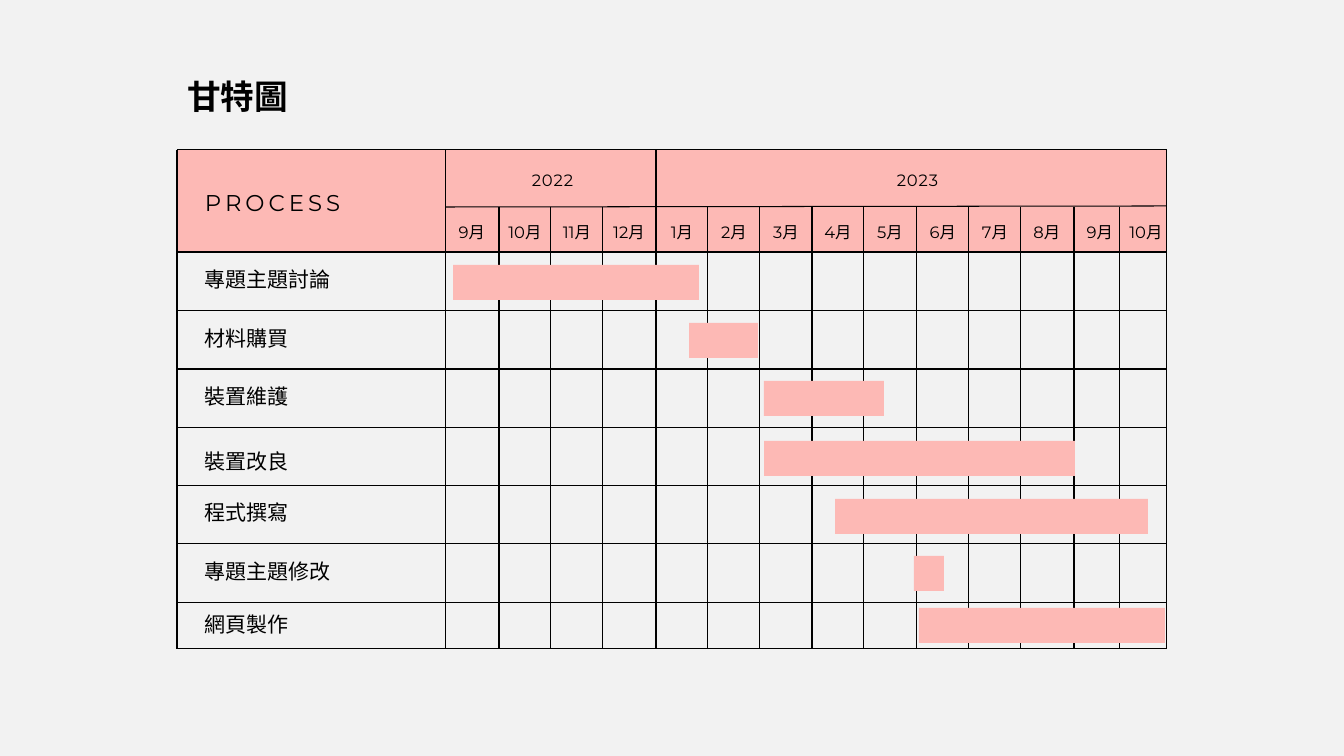
from pptx import Presentation
from pptx.dml.color import RGBColor
from pptx.enum.shapes import MSO_CONNECTOR as CONN, MSO_SHAPE as SHAPE
from pptx.enum.text import MSO_ANCHOR as ANCHOR, PP_ALIGN as ALIGN
from pptx.oxml.ns import qn
from pptx.util import Emu, Pt
from lxml.etree import SubElement

BLACK = RGBColor(0x00, 0x00, 0x00)
PINK = RGBColor(0xFD, 0xB9, 0xB5)
PAPER = RGBColor(0xF2, 0xF2, 0xF2)
LATIN, CJK = "Montserrat", "Noto Sans CJK SC"

LEFT, RIGHT, TOP, BOTTOM = 177, 1167, 150, 649
MONTH_TOP = 207
TASK_X, BAR_H = 205, 35

# Twelve equal months, then two narrower ones
MONTH_X = [round(446.5 + 52.25 * i) for i in range(13)] + [1120]
ROW_Y = [round(252.4 + 58.4 * i) for i in range(7)]
MONTHS = [9, 10, 11, 12, 1, 2, 3, 4, 5, 6, 7, 8, 9, 10]
YEAR_STARTS = (0, 4)

# Task, label top, bar left, bar top, bar width
TASKS = [
    ("專題主題討論", 269, 453, 265, 246),
    ("材料購買", 328, 689, 323, 69),
    ("裝置維護", 386, 764, 381, 120),
    ("裝置改良", 451, 764, 441, 311),
    ("程式撰寫", 502, 835, 499, 313),
    ("專題主題修改", 561, 914, 556, 30),
    ("網頁製作", 614, 919, 608, 246),
]


def px(n):
    return Emu(round(n * 914400 / 100.8))


def write(tf, text, *, size, font=LATIN, bold=False, align=ALIGN.LEFT,
          leading=None, tracking=0):
    p = tf.paragraphs[0]
    p.alignment = align
    if leading:
        p.line_spacing = Pt(leading)
    r = p.add_run()
    r.text = text
    r.font.size, r.font.name, r.font.bold = Pt(size), font, bold
    r.font.color.rgb = BLACK
    rpr = r.font._element
    SubElement(rpr, qn("a:ea")).set("typeface", CJK)
    if tracking:
        rpr.set("spc", str(round(tracking * 100)))


class GanttSlide:
    def __init__(self, prs):
        self.s = prs.slides.add_slide(prs.slide_layouts[5])
        self.s.background.fill.solid()
        self.s.background.fill.fore_color.rgb = PAPER

    def title(self, text, x, y, w, h):
        sp = self.s.shapes.title
        sp.left, sp.top, sp.width, sp.height = map(px, (x, y, w, h))
        tf = sp.text_frame
        tf.word_wrap = False
        tf.vertical_anchor = ANCHOR.MIDDLE
        write(tf, text, size=24, font=CJK, bold=True)

    def text(self, text, x, y, w, h, **fmt):
        tf = self.s.shapes.add_textbox(*map(px, (x, y, w, h))).text_frame
        tf.word_wrap = True
        tf.margin_left = tf.margin_right = tf.margin_top = tf.margin_bottom = 0
        write(tf, text, **fmt)

    def block(self, x, y, w, h):
        sp = self.s.shapes.add_shape(SHAPE.RECTANGLE, *map(px, (x, y, w, h)))
        sp.shadow.inherit = False
        sp.fill.solid()
        sp.fill.fore_color.rgb = PINK
        sp.line.fill.background()

    def line(self, x1, y1, x2, y2):
        c = self.s.shapes.add_connector(CONN.STRAIGHT, *map(px, (x1, y1, x2, y2)))
        c.line.color.rgb = BLACK
        c.line.width = Pt(0.75)
        SubElement(c._element.spPr, qn("a:effectLst"))


def main():
    prs = Presentation()
    prs.slide_width, prs.slide_height = px(1344), px(756)
    g = GanttSlide(prs)
    g.title("甘特圖", 177, 71, 122, 50)

    g.block(LEFT, TOP, RIGHT - LEFT, ROW_Y[0] - TOP)
    for y in [TOP, *ROW_Y, BOTTOM]:
        g.line(LEFT, y, RIGHT, y)
    g.line(MONTH_X[0], MONTH_TOP, RIGHT, MONTH_TOP - 1)
    for x in (LEFT, RIGHT):
        g.line(x, TOP, x, BOTTOM)
    for i, x in enumerate(MONTH_X):
        g.line(x, TOP if i in YEAR_STARTS else MONTH_TOP, x, BOTTOM)

    head = dict(size=11.7, leading=16.4, align=ALIGN.CENTER)
    g.text("PROCESS", TASK_X, 184, 209, 30, size=16.3, leading=22.9, tracking=2.8)
    for year, x in (("2022", 471), ("2023", 836)):
        g.text(year, x, 167, 163, 21, tracking=0.6, **head)
    for month, x in zip(MONTHS, MONTH_X):
        g.text(f"{month}月", x, 219, 52, 21, **head)

    for task, label_y, x, y, w in TASKS:
        g.text(task, TASK_X, label_y, 217, 22, size=15, font=CJK, leading=16.3)
        g.block(x, y, w, BAR_H)

    prs.save("out.pptx")


if __name__ == "__main__":
    main()
